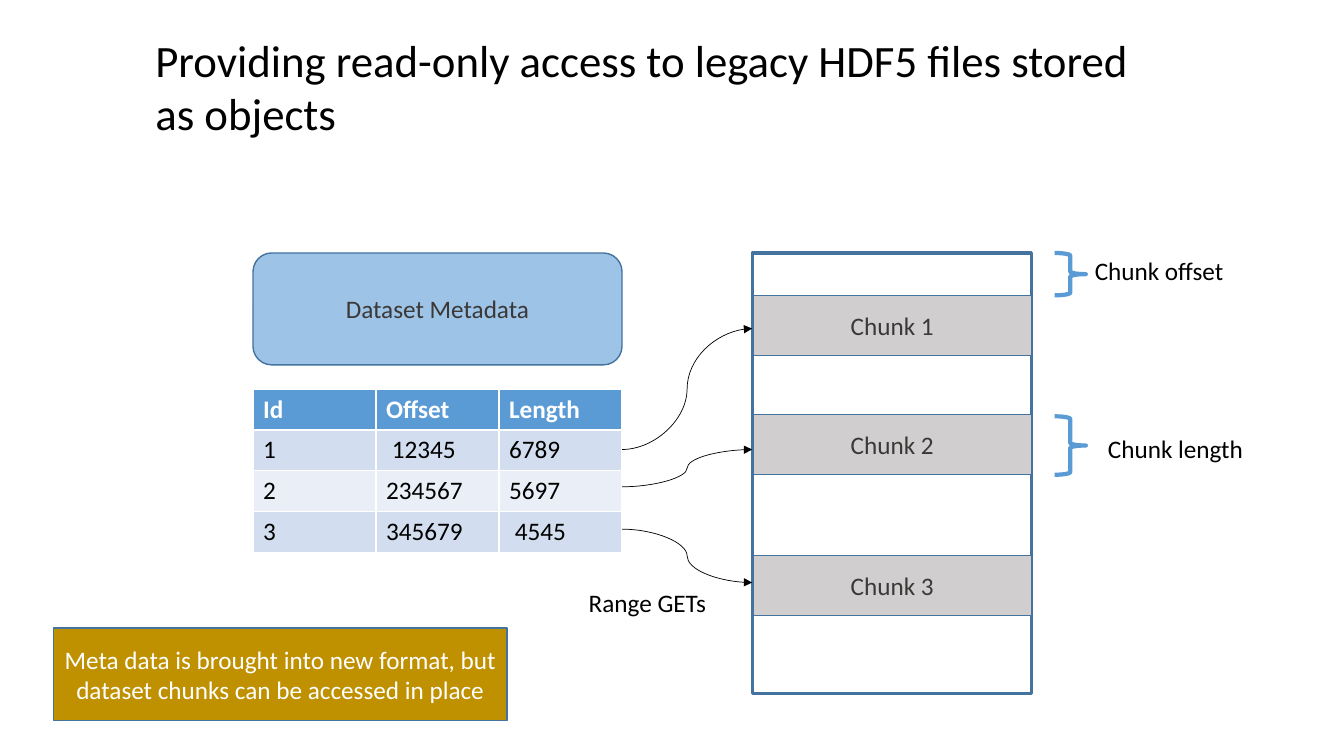
from pptx import Presentation
from pptx.dml.color import RGBColor
from pptx.enum import shapes as kinds, text as txt
from pptx.oxml.ns import qn
from pptx.util import Inches, Pt
from lxml import etree

BLACK = RGBColor(0x00, 0x00, 0x00)
WHITE = RGBColor(0xFF, 0xFF, 0xFF)
DARK_GRAY = RGBColor(0x3B, 0x38, 0x38)
OUTLINE = RGBColor(0x43, 0x73, 0x9E)
METADATA_BLUE = RGBColor(0x9D, 0xC3, 0xE6)
CHUNK_GRAY = RGBColor(0xD0, 0xCE, 0xCE)
ACCENT_BLUE = RGBColor(0x5B, 0x9B, 0xD5)
BAND_DARK = RGBColor(0xD2, 0xDE, 0xEF)
BAND_LIGHT = RGBColor(0xEA, 0xEF, 0xF7)
GOLD = RGBColor(0xBF, 0x90, 0x00)
PRESET = kinds.MSO_SHAPE


def write(frame, wording, color, size=18, bold=False, align=txt.PP_ALIGN.LEFT):
    frame.word_wrap = True
    paragraph = frame.paragraphs[0]
    paragraph.alignment = align
    run = paragraph.add_run()
    run.text = wording
    run.font.name = "Calibri"
    run.font.size = Pt(size)
    run.font.bold = bold
    run.font.color.rgb = color


def add_box(preset, place, fill=None, line=OUTLINE, width=1, wording="", color=DARK_GRAY):
    """Add a preset shape at place (left, top, width, height in inches)."""
    box = slide.shapes.add_shape(preset, *map(Inches, place))
    box.shadow.inherit = False
    if fill is None:
        box.fill.background()
    else:
        box.fill.solid()
        box.fill.fore_color.rgb = fill
    box.line.color.rgb = line
    box.line.width = Pt(width)
    if wording:
        box.text_frame.vertical_anchor = txt.MSO_ANCHOR.MIDDLE
        write(box.text_frame, wording, color, align=txt.PP_ALIGN.CENTER)


prs = Presentation()
prs.slide_width, prs.slide_height = Inches(13.33), Inches(7.5)
slide = prs.slides.add_slide(prs.slide_layouts[5])

# Title
title = slide.shapes.title
title.left, title.top = Inches(1.44), Inches(0.27)
title.width, title.height = Inches(10.12), Inches(1.18)
title.text_frame.auto_size = txt.MSO_AUTO_SIZE.NONE
title.text_frame.vertical_anchor = txt.MSO_ANCHOR.TOP
write(title.text_frame, "Providing read-only access to legacy HDF5 files stored as objects", BLACK, 32)

# Metadata and the file with its chunks
add_box(PRESET.ROUNDED_RECTANGLE, (2.51, 2.51, 3.66, 1.11), METADATA_BLUE, wording="Dataset Metadata")
add_box(PRESET.RECTANGLE, (7.46, 2.51, 2.77, 4.37), width=2.25)
for number, top in enumerate((2.93, 4.11, 5.51), start=1):
    add_box(PRESET.RECTANGLE, (7.47, top, 2.76, 0.6), CHUNK_GRAY, wording=f"Chunk {number}")

# Braces measuring offset and length
for top, height in ((2.51, 0.42), (4.13, 0.58)):
    add_box(PRESET.RIGHT_BRACE, (10.46, top, 0.31, height), line=ACCENT_BLUE, width=3)

# Chunk index table
index_rows = (
    ("Id", "Offset", "Length"),
    ("1", " 12345", "6789"),
    ("2", "234567", "5697"),
    ("3", "345679", " 4545"),
)
index_table = slide.shapes.add_table(
    4, 3, Inches(2.51), Inches(3.86), Inches(3.66), Inches(1.6)).table
for r, values in enumerate(index_rows):
    header = r == 0
    band = ACCENT_BLUE if header else BAND_DARK if r % 2 else BAND_LIGHT
    for c, value in enumerate(values):
        cell = index_table.cell(r, c)
        cell.fill.solid()
        cell.fill.fore_color.rgb = band
        write(cell.text_frame, value, WHITE if header else BLACK, bold=header)

# Arrows from table rows to chunks
for row_y, chunk_y in ((4.46, 3.26), (4.83, 4.46), (5.25, 5.78)):
    arrow = slide.shapes.add_connector(
        kinds.MSO_CONNECTOR.CURVE, Inches(6.17), Inches(row_y), Inches(7.46), Inches(chunk_y))
    arrow.line.color.rgb = BLACK
    arrow.line.width = Pt(0.5)
    etree.SubElement(arrow.line._get_or_add_ln(), qn("a:tailEnd"), type="triangle")
    etree.SubElement(arrow._element.spPr, qn("a:effectLst"))

# Labels
for wording, left, top, width in (
    ("Chunk offset", 10.76, 2.48, 1.63),
    ("Chunk length", 10.89, 4.25, 1.71),
    ("Range GETs", 5.74, 5.78, 1.42),
):
    label = slide.shapes.add_textbox(Inches(left), Inches(top), Inches(width), Inches(0.4))
    write(label.text_frame, wording, BLACK)

# Takeaway
add_box(PRESET.RECTANGLE, (0.53, 6.23, 4.5, 0.92), GOLD, color=WHITE,
        wording="Meta data is brought into new format, but dataset chunks can be accessed in place")

prs.save("out.pptx")
